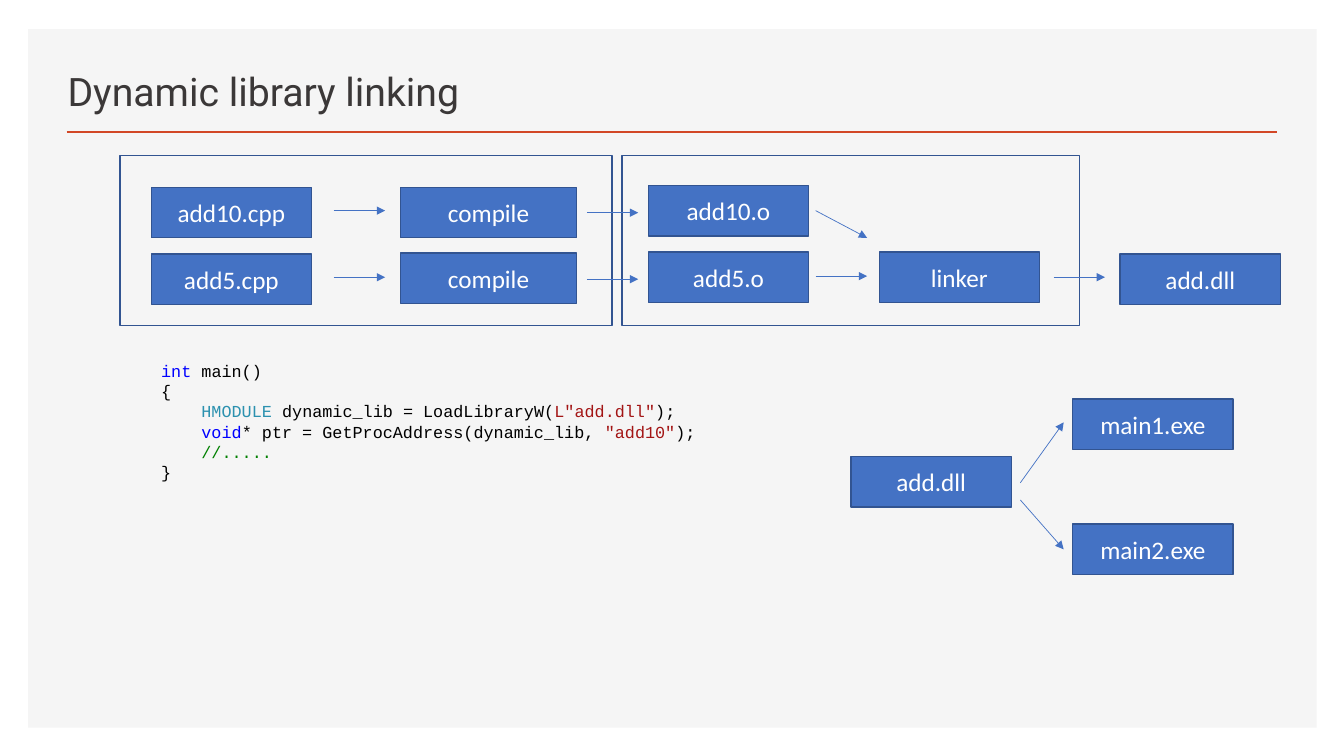
from pptx import Presentation
from pptx.dml.color import RGBColor as RGB
from pptx.enum.shapes import MSO_CONNECTOR as CONN, MSO_SHAPE as SHAPE
from pptx.enum.text import MSO_ANCHOR as ANCHOR, MSO_AUTO_SIZE as AUTO, PP_ALIGN as ALIGN
from pptx.oxml.ns import qn
from pptx.util import Inches, Pt
from lxml import etree


class Theme:
    panel, rule, title = "F5F5F5", "D24726", "3B3838"
    box, edge, label = "4472C4", "325491", "FFFFFF"
    plain, keyword, kind, string, comment = "000000", "0000FF", "2B91AF", "A31515", "008000"
    title_font, label_font, code_font = "Roboto", "Calibri", "Courier New"
    title_size, label_size, code_size = Pt(28), Pt(18), Pt(12)


def add_rect(x, y, w, h, fill=None, edge=None):
    sp = s.shapes.add_shape(SHAPE.RECTANGLE, *map(Inches, (x, y, w, h)))
    sp.shadow.inherit = False
    if fill:
        sp.fill.solid()
        sp.fill.fore_color.rgb = RGB.from_string(fill)
    else:
        sp.fill.background()
    if edge:
        sp.line.color.rgb = RGB.from_string(edge)
        sp.line.width = Pt(1)
    else:
        sp.line.fill.background()
    return sp


def add_line(x1, y1, x2, y2, color, width, arrow=True):
    ln = s.shapes.add_connector(CONN.STRAIGHT, *map(Inches, (x1, y1, x2, y2)))
    ln.line.color.rgb = RGB.from_string(color)
    ln.line.width = Pt(width)
    if arrow:
        etree.SubElement(ln.line._get_or_add_ln(), qn("a:tailEnd"), type="triangle")
    etree.SubElement(ln._element.spPr, qn("a:effectLst"))


prs = Presentation()
prs.slide_width, prs.slide_height = Inches(13.33), Inches(7.5)
s = prs.slides.add_slide(prs.slide_layouts[5])

# Panel and rule, with the title in front
add_rect(0.28, 0.29, 12.78, 6.93, Theme.panel)
add_line(0.66, 1.31, 12.67, 1.31, Theme.rule, 2, arrow=False)
title = s.shapes.title
title._element.getparent().append(title._element)
title.left, title.top, title.width, title.height = map(Inches, (0.57, 0.49, 7.52, 0.7))
tf = title.text_frame
tf.text = "Dynamic library linking"
tf.auto_size, tf.vertical_anchor = AUTO.NONE, ANCHOR.BOTTOM
p = tf.paragraphs[0]
p.alignment, p.line_spacing = ALIGN.LEFT, 0.9
p.font.name, p.font.size = Theme.title_font, Theme.title_size
p.font.color.rgb = RGB.from_string(Theme.title)

# Build grid: columns by stage, one row for each source file
SOURCE, COMPILE, OBJECT, LINKER, LIBRARY = 1.5, 3.97, 6.43, 8.72, 11.11
ROW1, ROW2 = 1.86, 2.52
BOX_W, COMPILE_W, BOX_H = 1.59, 1.75, 0.5
LIFT = 0.02  # objects and linker sit slightly higher
ARROW = 0.51

# Compile and link frames
for x, w in ((1.19, 4.88), (6.17, 4.54)):
    add_rect(x, 1.54, w, 1.69, edge=Theme.edge)

# Build steps, then the programs that load the library
boxes = [
    ("add10.cpp", SOURCE, ROW1, BOX_W),
    ("add5.cpp", SOURCE, ROW2, BOX_W),
    ("compile", COMPILE, ROW1, COMPILE_W),
    ("compile", COMPILE, ROW2 - 0.01, COMPILE_W),
    ("add10.o", OBJECT, ROW1 - LIFT, BOX_W),
    ("add5.o", OBJECT, ROW2 - LIFT, BOX_W),
    ("linker", LINKER, ROW2 - LIFT, BOX_W),
    ("add.dll", LIBRARY, ROW2, BOX_W),
    ("add.dll", 8.44, 4.53, BOX_W),
    ("main1.exe", 10.64, 3.96, BOX_W),
    ("main2.exe", 10.64, 5.2, BOX_W),
]
for label, x, y, w in boxes:
    tf = add_rect(x, y, w, BOX_H, Theme.box, Theme.edge).text_frame
    tf.text = label
    tf.word_wrap, tf.vertical_anchor = True, ANCHOR.MIDDLE
    p = tf.paragraphs[0]
    p.alignment = ALIGN.CENTER
    p.font.name, p.font.size = Theme.label_font, Theme.label_size
    p.font.color.rgb = RGB.from_string(Theme.label)

# Arrows float in the gaps between the boxes
for x, y in ((3.31, 2.09), (3.31, 2.75), (5.82, 2.11), (5.82, 2.77), (8.09, 2.74), (10.45, 2.75)):
    add_line(x, y, x + ARROW, y, Theme.box, 0.5)
for ends in ((8.09, 2.09, 8.6, 2.36), (10.12, 4.79, 10.55, 4.19), (10.12, 4.96, 10.55, 5.45)):
    add_line(*ends, Theme.box, 0.5)

# Code that loads the library
code = [
    [("int", Theme.keyword), (" main()", Theme.plain)],
    [("{", Theme.plain)],
    [("    HMODULE ", Theme.kind), ("dynamic_lib = LoadLibraryW(", Theme.plain),
     ('L"add.dll"', Theme.string), (");", Theme.plain)],
    [("    void", Theme.keyword), ("* ptr = GetProcAddress(dynamic_lib, ", Theme.plain),
     ('"add10"', Theme.string), (");", Theme.plain)],
    [("    //.....", Theme.comment)],
    [("}", Theme.plain)],
]
tf = s.shapes.add_textbox(*map(Inches, (1.5, 3.53, 6.67, 1.31))).text_frame
tf.word_wrap, tf.auto_size = True, AUTO.SHAPE_TO_FIT_TEXT
for i, parts in enumerate(code):
    p = tf.add_paragraph() if i else tf.paragraphs[0]
    p.font.name, p.font.size = Theme.code_font, Theme.code_size
    for text, color in parts:
        r = p.add_run()
        r.text = text
        r.font.color.rgb = RGB.from_string(color)

prs.save("out.pptx")
